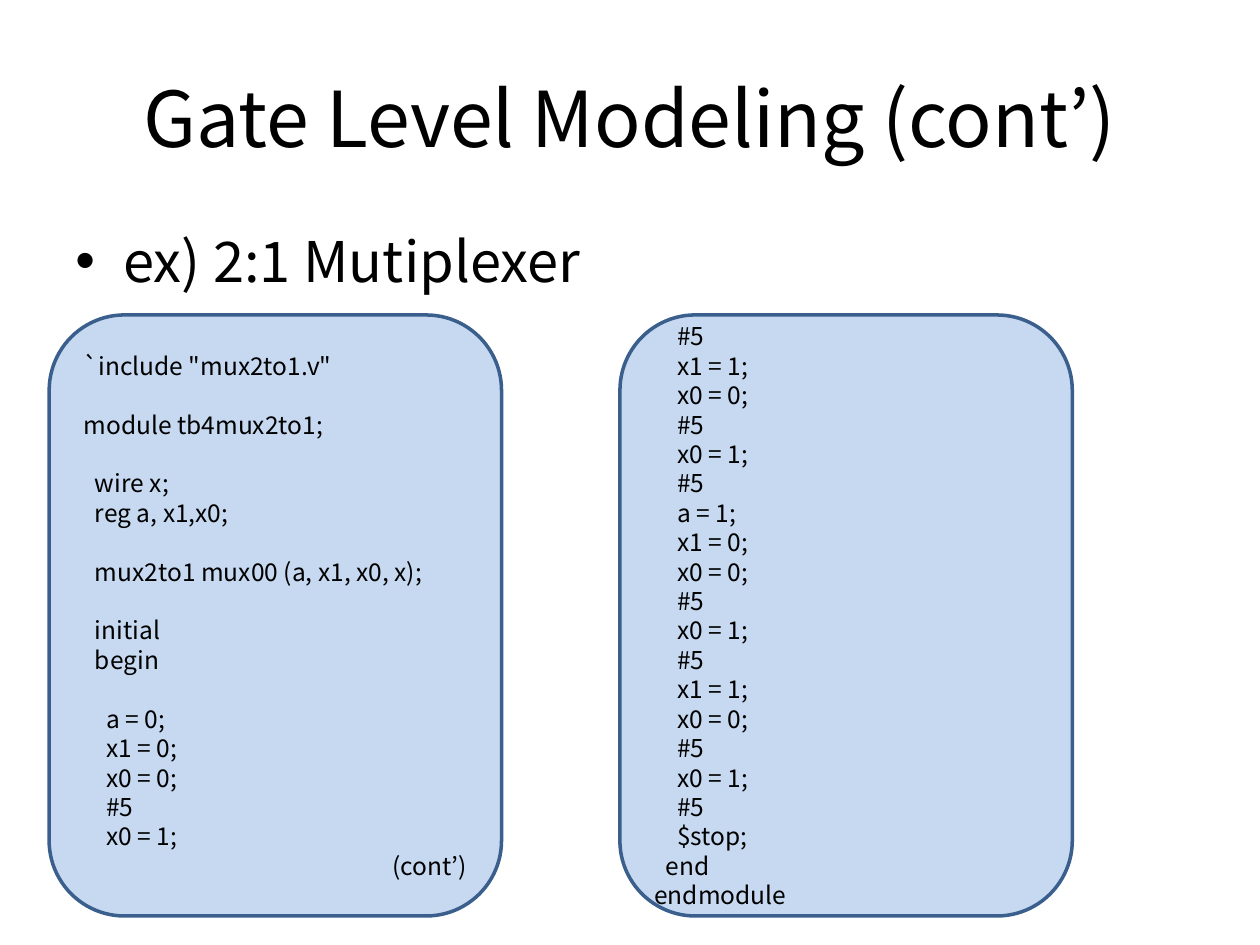
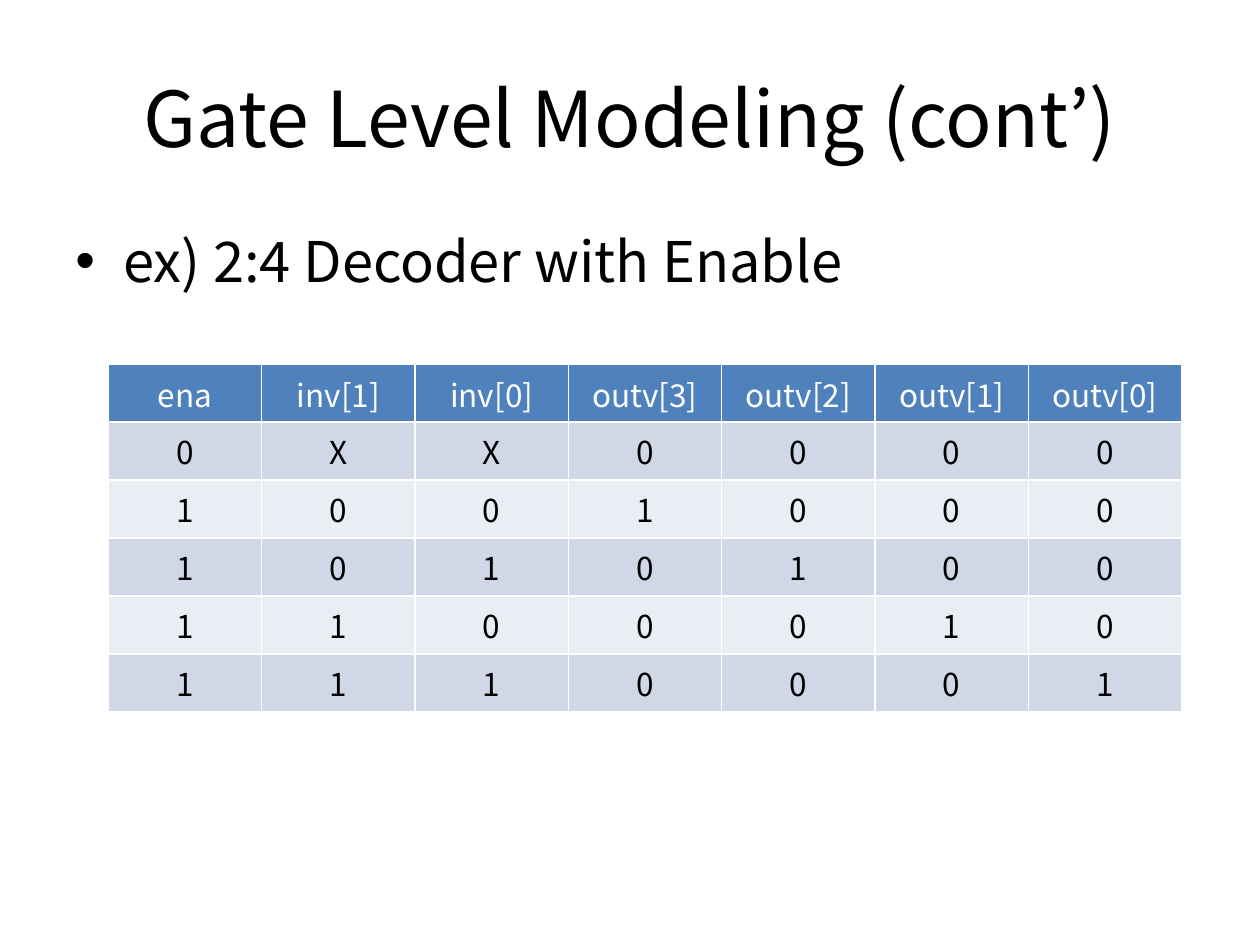
from lxml.etree import SubElement
from pptx import Presentation
from pptx.dml.color import RGBColor
from pptx.enum.shapes import MSO_SHAPE as Shape
from pptx.enum.text import MSO_ANCHOR as Anchor, PP_ALIGN as Align
from pptx.oxml.ns import qn
from pptx.util import Inches, Pt

FONT = "Noto Sans CJK KR"
BLACK = RGBColor(0x00, 0x00, 0x00)
WHITE = RGBColor(0xFF, 0xFF, 0xFF)
PANEL_FILL = RGBColor(0xC6, 0xD9, 0xF1)
PANEL_LINE = RGBColor(0x3A, 0x5F, 0x8C)
HEADER_FILL = RGBColor(0x4F, 0x81, 0xBD)
BAND_FILLS = [RGBColor(0xD0, 0xD8, 0xE8), RGBColor(0xE9, 0xED, 0xF4)]

TITLE = "Gate Level Modeling (cont’)"
MUX_TOPIC = "ex) 2:1 Mutiplexer"
DECODER_TOPIC = "ex) 2:4 Decoder with Enable"

# Blocks of code: (indent level, lines)
TESTBENCH_START = [
    (0, ['`include "mux2to1.v"']),
    (0, ["module tb4mux2to1;"]),
    (1, ["wire x;", "reg a, x1,x0;"]),
    (1, ["mux2to1 mux00 (a, x1, x0, x);"]),
    (1, ["initial", "begin"]),
    (2, ["a = 0;", "x1 = 0;", "x0 = 0;", "#5", "x0 = 1;"]),
]
TESTBENCH_END = [
    (2, ["#5", "x1 = 1;", "x0 = 0;", "#5", "x0 = 1;", "#5",
         "a = 1;", "x1 = 0;", "x0 = 0;", "#5", "x0 = 1;", "#5",
         "x1 = 1;", "x0 = 0;", "#5", "x0 = 1;", "#5", "$stop;"]),
    (1, ["end"]),
    (0, ["endmodule"]),
]
CONTINUED = "(cont’)"

TRUTH_TABLE = [
    ["ena", "inv[1]", "inv[0]", "outv[3]", "outv[2]", "outv[1]", "outv[0]"],
    list("0XX0000"),
    list("1001000"),
    list("1010100"),
    list("1100010"),
    list("1110001"),
]

CODE_LINE = Pt(16.8)
CODE_INDENT = 0.09
ROW_HEIGHT = 0.46


def add_span(para, text, size, color=BLACK):
    span = para.add_run()
    span.text = text
    span.font.name = FONT
    span.font.size = Pt(size)
    span.font.bold = False
    span.font.color.rgb = color


def add_page(deck, topic):
    """Add a slide with the shared title and one bulleted topic."""
    page = deck.slides.add_slide(deck.slide_layouts[5])
    title = page.shapes.title
    title.left, title.top = Inches(0.5), Inches(0.3)
    title.width, title.height = Inches(9), Inches(1.25)
    title.text_frame.vertical_anchor = Anchor.MIDDLE
    para = title.text_frame.paragraphs[0]
    para.alignment = Align.CENTER
    add_span(para, TITLE, 44)

    box = page.shapes.add_textbox(Inches(0.5), Inches(1.75), Inches(9), Inches(4.95))
    box.text_frame.word_wrap = True
    para = box.text_frame.paragraphs[0]
    para.space_before = Pt(3.5)
    add_span(para, topic, 32)
    properties = para._p.get_or_add_pPr()
    properties.set("marL", str(Inches(0.38)))
    properties.set("indent", str(-Inches(0.38)))
    SubElement(properties, qn("a:buFont"), typeface="Arial")
    SubElement(properties, qn("a:buChar"), char="•")
    return page


def add_code_panel(page, left, blocks, gap=0, closing=None):
    """Draw a rounded panel of code, with gap before each block but the first."""
    panel = page.shapes.add_shape(Shape.ROUNDED_RECTANGLE, Inches(left),
                                  Inches(2.5), Inches(3.59), Inches(4.77))
    panel.shadow.inherit = False
    panel.fill.solid()
    panel.fill.fore_color.rgb = PANEL_FILL
    panel.line.color.rgb = PANEL_LINE
    panel.line.width = Pt(2)
    frame = panel.text_frame
    frame.word_wrap = True
    frame.vertical_anchor = Anchor.MIDDLE

    rows = [(level, line, gap if index and not position else 0, Align.LEFT)
            for index, (level, lines) in enumerate(blocks)
            for position, line in enumerate(lines)]
    if closing:
        rows.append((0, closing, 0, Align.RIGHT))
    for index, (level, line, space, alignment) in enumerate(rows):
        para = frame.add_paragraph() if index else frame.paragraphs[0]
        para.alignment = alignment
        para.space_before = space
        para._p.get_or_add_pPr().set("marL", str(Inches(level * CODE_INDENT)))
        add_span(para, line, 14)


def set_borders(cell):
    properties = cell._tc.get_or_add_tcPr()
    for side in "LRTB":
        line = SubElement(properties, qn(f"a:ln{side}"), w=str(Pt(1)))
        fill = SubElement(line, qn("a:solidFill"))
        SubElement(fill, qn("a:srgbClr"), val=str(WHITE))


def add_truth_table(page, rows):
    table = page.shapes.add_table(len(rows), len(rows[0]), Inches(0.86), Inches(2.89),
                                  Inches(8.52), Inches(ROW_HEIGHT * len(rows))).table
    for row_index, row in enumerate(rows):
        header = row_index == 0
        for column_index, value in enumerate(row):
            cell = table.cell(row_index, column_index)
            set_borders(cell)
            cell.fill.solid()
            cell.fill.fore_color.rgb = (HEADER_FILL if header
                                        else BAND_FILLS[(row_index - 1) % 2])
            para = cell.text_frame.paragraphs[0]
            para.alignment = Align.CENTER
            add_span(para, value, 18, WHITE if header else BLACK)


def main():
    deck = Presentation()
    deck.slide_width, deck.slide_height = Inches(10), Inches(7.5)

    mux_page = add_page(deck, MUX_TOPIC)
    add_code_panel(mux_page, 0.39, TESTBENCH_START, gap=CODE_LINE, closing=CONTINUED)
    add_code_panel(mux_page, 4.92, TESTBENCH_END)

    decoder_page = add_page(deck, DECODER_TOPIC)
    add_truth_table(decoder_page, TRUTH_TABLE)

    deck.save("out.pptx")


if __name__ == "__main__":
    main()
